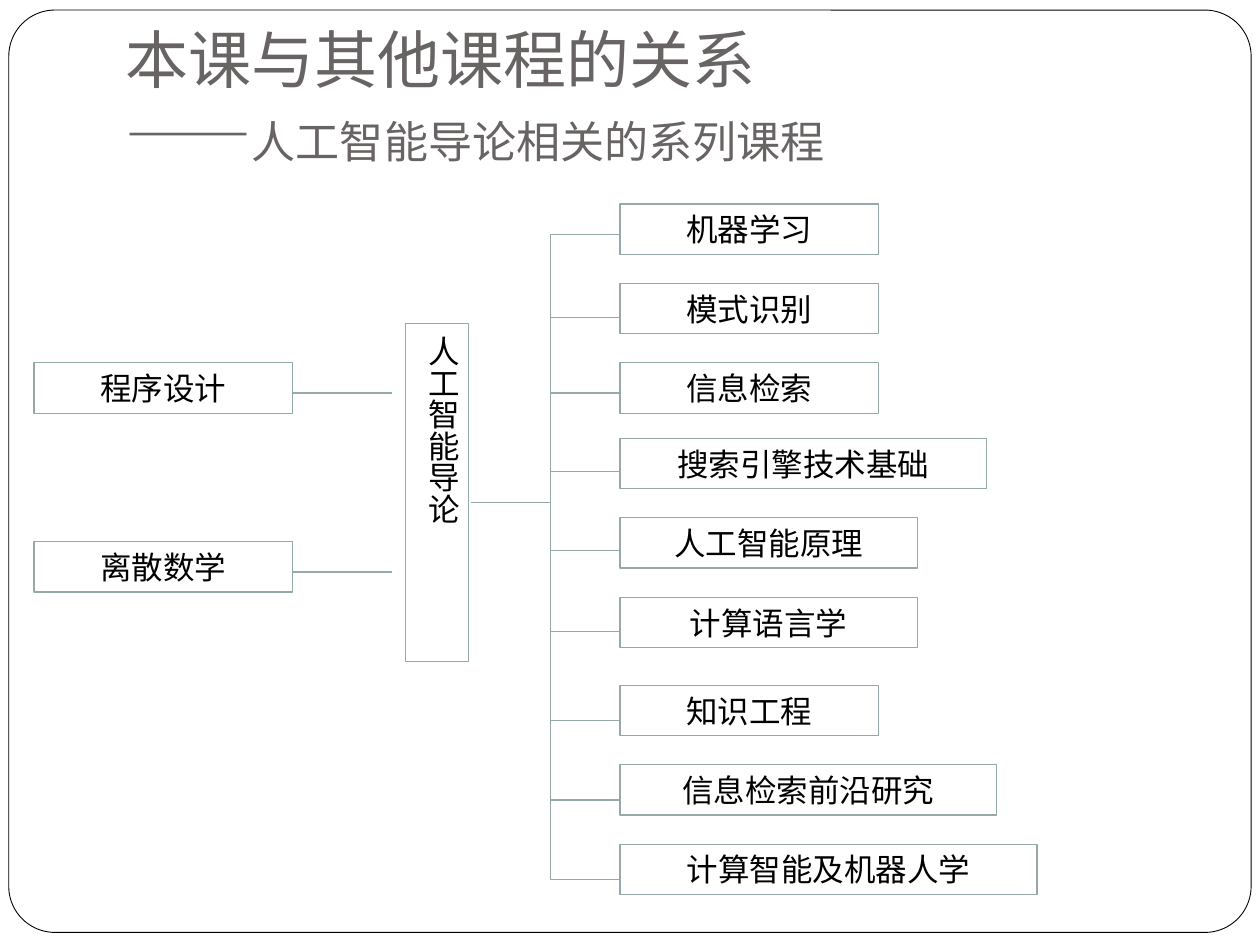
import pptx
import pptx.util
import pptx.dml.color
import pptx.enum.shapes
import pptx.enum.text
import pptx.oxml.ns
import lxml.etree

Inches = pptx.util.Inches
Pt = pptx.util.Pt
SHAPE = pptx.enum.shapes.MSO_SHAPE
ALIGN = pptx.enum.text.PP_ALIGN
ANCHOR = pptx.enum.text.MSO_ANCHOR

COLORS = {"title": "696464", "line": "96A9A9", "text": "000000",
          "frame": "000000", "paper": "FFFFFF"}


def rgb(name):
    return pptx.dml.color.RGBColor.from_string(COLORS[name])


def add_text(paragraph, text, size=18, font="Times New Roman", color="text"):
    run = paragraph.add_run()
    run.text = text
    run.font.size = Pt(size)
    run.font.name = font
    run.font.color.rgb = rgb(color)


class Diagram:
    """Holds the line style and the slide being drawn."""

    def __init__(self, slide, line_width=0.75):
        self.slide = slide
        self.line_width = line_width

    def outline(self, shape, color="line", width=None):
        shape.line.color.rgb = rgb(color)
        shape.line.width = Pt(width or self.line_width)

    def frame(self, left, top, width, height):
        border = self.slide.shapes.add_shape(
            SHAPE.ROUNDED_RECTANGLE, Inches(left), Inches(top), Inches(width), Inches(height))
        border.adjustments[0] = 0.05
        border.shadow.inherit = False
        border.fill.solid()
        border.fill.fore_color.rgb = rgb("paper")
        self.outline(border, "frame", 0.5)

    def title(self, heading, dash, subtitle):
        box = self.slide.shapes.add_textbox(Inches(0.9), Inches(0.21), Inches(8.5), Inches(1.25))
        frame = box.text_frame
        frame.word_wrap = True
        frame.vertical_anchor = ANCHOR.BOTTOM
        frame.margin_bottom = Inches(0.1)
        paragraph = frame.paragraphs[0]
        add_text(paragraph, heading, size=36, font="Roboto", color="title")
        paragraph.add_line_break()
        add_text(paragraph, dash, size=36, color="title")
        add_text(paragraph, subtitle, size=25.2, font="Roboto", color="title")

    def course(self, name, left, top, width, height=0.4, vertical=False):
        box = self.slide.shapes.add_shape(
            SHAPE.RECTANGLE, Inches(left), Inches(top), Inches(width), Inches(height))
        box.shadow.inherit = False
        box.fill.background()
        self.outline(box)
        frame = box.text_frame
        frame.word_wrap = True
        frame.vertical_anchor = ANCHOR.TOP if vertical else ANCHOR.MIDDLE
        paragraph = frame.paragraphs[0]
        paragraph.alignment = ALIGN.LEFT if vertical else ALIGN.CENTER
        if vertical:
            body = frame._txBody.find(pptx.oxml.ns.qn("a:bodyPr"))
            body.set("vert", "eaVert")
        add_text(paragraph, name)

    def link(self, start, end, y):
        line = self.slide.shapes.add_connector(
            pptx.enum.shapes.MSO_CONNECTOR.STRAIGHT,
            Inches(start), Inches(y), Inches(end), Inches(y))
        self.outline(line)
        lxml.etree.SubElement(line._element.spPr, pptx.oxml.ns.qn("a:effectLst"))

    def bracket(self, spine, tip, top, bottom):
        builder = self.slide.shapes.build_freeform(Inches(tip), Inches(top))
        builder.add_line_segments(
            [(Inches(x), Inches(y)) for x, y in ((spine, top), (spine, bottom), (tip, bottom))],
            close=False)
        shape = builder.convert_to_shape()
        shape.shadow.inherit = False
        shape.fill.background()
        self.outline(shape)


def main():
    deck = pptx.Presentation()
    deck.slide_width, deck.slide_height = Inches(10), Inches(7.5)
    diagram = Diagram(deck.slides.add_slide(deck.slide_layouts[6]))

    # Border and title
    diagram.frame(0.07, 0.08, 9.86, 7.32)
    diagram.title("本课与其他课程的关系", "——", "人工智能导论相关的系列课程")

    # This course
    diagram.course("人工智能导论", 3.22, 2.57, 0.5, 2.68, vertical=True)

    # Prerequisites, each with a line towards this course
    for name, top in (("程序设计", 2.88), ("离散数学", 4.3)):
        diagram.course(name, 0.27, top, 2.05)
        diagram.link(2.32, 3.11, top + 0.24)

    # Follow-up courses: name, top, width, height of the branch line
    spine, tip = 4.37, 4.92
    follow_ups = [
        ("机器学习", 1.62, 2.05, None),
        ("模式识别", 2.25, 2.05, 2.52),
        ("信息检索", 2.88, 2.05, 3.12),
        ("搜索引擎技术基础", 3.48, 2.91, 3.74),
        ("人工智能原理", 4.11, 2.36, 4.37),
        ("计算语言学", 4.74, 2.36, 5.01),
        ("知识工程", 5.44, 2.05, 5.72),
        ("信息检索前沿研究", 6.07, 2.99, 6.35),
        ("计算智能及机器人学", 6.7, 3.31, None),
    ]
    for name, top, width, branch in follow_ups:
        diagram.course(name, tip, top, width)
        if branch:
            diagram.link(spine, tip, branch)

    # Bracket for the first and last course, and its stem
    diagram.bracket(spine, tip, 1.86, 6.98)
    diagram.link(3.74, spine, 3.99)

    deck.save("out.pptx")


if __name__ == "__main__":
    main()
